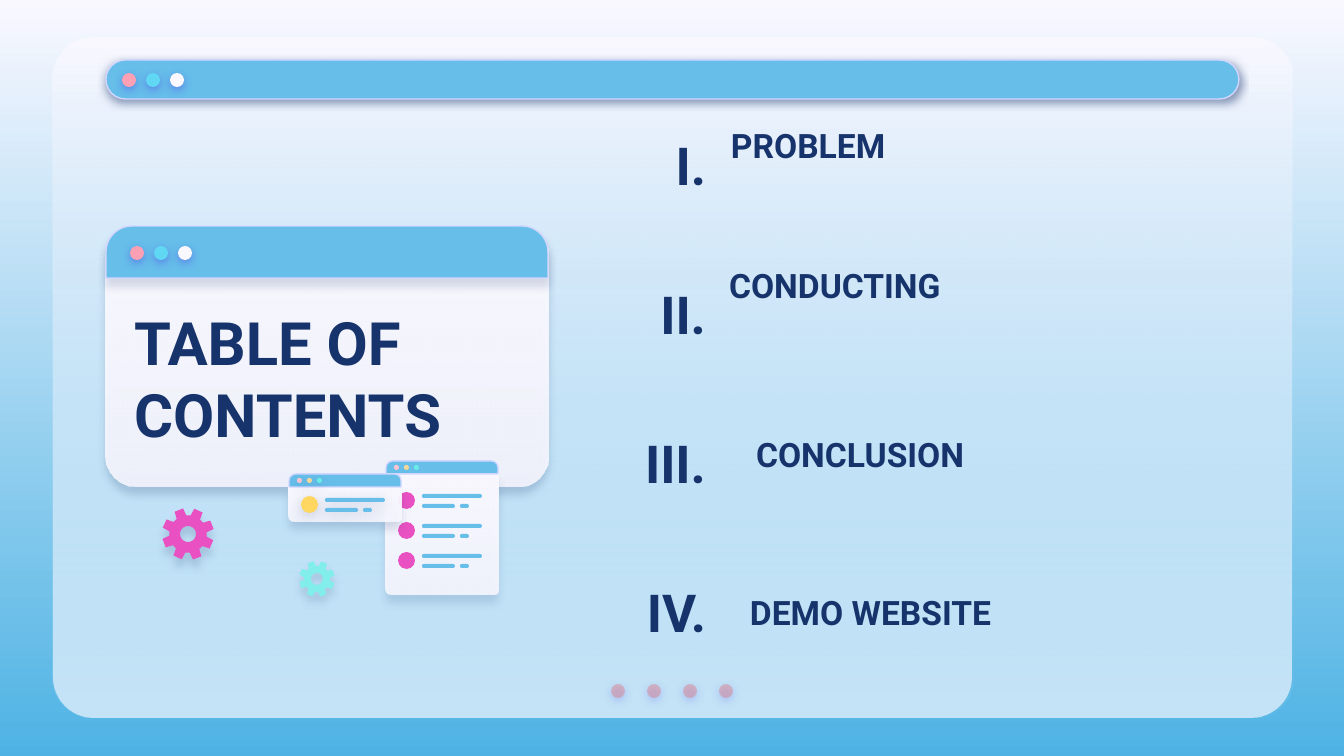
"""Build a table of contents slide with browser windows and gears."""
from math import cos, radians, sin
from lxml.etree import SubElement
from pptx import Presentation
from pptx.dml.color import RGBColor as RGB
from pptx.enum.shapes import MSO_SHAPE as SHAPE
from pptx.enum.text import MSO_ANCHOR as ANCHOR, PP_ALIGN as ALIGN
from pptx.oxml.ns import qn
from pptx.util import Pt

PX = 914400 / 134.4
C = {
    "white": "F9F8FF", "sky": "4EB3E4", "blue": "66BEE9", "edge": "D2D6FF",
    "navy": "17336B", "violet": "5352EE", "rose": "E27B83", "pink": "FDA0B4",
    "cyan": "60D8F4", "blush": "FFC3D0", "sand": "F5D79B", "mint": "6AEBE7",
    "magenta": "E951C2", "yellow": "FFD65F", "aqua": "81EEEB",
}
GLOW = ("violet", 50, 4.5, 1.5)

prs = Presentation()
prs.slide_width, prs.slide_height = round(1344 * PX), round(756 * PX)
s = prs.slides.add_slide(prs.slide_layouts[6])


def draw(kind, box=None, adj=(), contours=(), fill="blue", to=None, alpha=100, line=None, shadow=None):
    if contours:
        pts = [[(round(x * PX), round(y * PX)) for x, y in c] for c in contours]
        fb = s.shapes.build_freeform(*pts[0][0], scale=1.0)
        fb.add_line_segments(pts[0][1:], close=True)
        for c in pts[1:]:
            fb.move_to(*c[0])
            fb.add_line_segments(c[1:], close=True)
        sp = fb.convert_to_shape()
    else:
        sp = s.shapes.add_shape(kind, *[round(v * PX) for v in box])
        for i, v in enumerate(adj):
            sp.adjustments[i] = v
    if to:
        sp.fill.gradient()
        sp.fill.gradient_angle = 270
        for stop, key, pos in zip(sp.fill.gradient_stops, (fill, to), (0, 1)):
            stop.color.rgb, stop.position = RGB.from_string(C[key]), pos
    else:
        sp.fill.solid()
        sp.fill.fore_color.rgb = RGB.from_string(C[fill])
    spPr = sp._element.spPr
    if alpha < 100:
        clr = list(spPr.iter(qn("a:srgbClr")))[-1]
        SubElement(clr, qn("a:alpha"), val=str(alpha * 1000))
    if line:
        sp.line.color.rgb = RGB.from_string(C[line])
        sp.line.width = Pt(0.75)
    else:
        sp.line.fill.background()
    sp.shadow.inherit = False
    if shadow:
        key, opacity, blur, dist = shadow
        shd = SubElement(spPr.find(qn("a:effectLst")), qn("a:outerShdw"), blurRad=str(Pt(blur)),
                         dist=str(Pt(dist)), dir="5400000", algn="bl", rotWithShape="0")
        clr = SubElement(shd, qn("a:srgbClr"), val=C[key])
        SubElement(clr, qn("a:alpha"), val=str(opacity * 1000))


def text(words, x, y, w, h, size=18, align=ALIGN.LEFT):
    tf = s.shapes.add_textbox(*[round(v * PX) for v in (x, y, w, h)]).text_frame
    tf.word_wrap = True
    tf.vertical_anchor = ANCHOR.MIDDLE
    tf.margin_left = tf.margin_right = tf.margin_top = tf.margin_bottom = round(13 * PX)
    p = tf.paragraphs[0]
    p.alignment = align
    r = p.add_run()
    r.text = words
    r.font.name, r.font.size, r.font.bold = "Roboto", Pt(size), True
    r.font.color.rgb = RGB.from_string(C["navy"])


bg = s.background.fill
bg.gradient()
bg.gradient_angle = 270
for stop, key, pos in zip(bg.gradient_stops, ("white", "sky"), (0, 1)):
    stop.color.rgb, stop.position = RGB.from_string(C[key]), pos

panel = (53, 38, 1239, 680)
draw(SHAPE.ROUNDED_RECTANGLE, panel, [0.06], fill="white")
draw(SHAPE.ROUNDED_RECTANGLE, panel, [0.06], fill="white", to="blue", alpha=35)
for i in range(4):
    draw(SHAPE.OVAL, (611 + 36 * i, 684, 14, 14), fill="rose", alpha=44, shadow=GLOW)

draw(SHAPE.ROUNDED_RECTANGLE, (106, 60, 1133, 39), [0.5], line="edge", shadow=("navy", 50, 4.5, 1.5))
draw(SHAPE.ROUNDED_RECTANGLE, (106, 226, 442, 261), [0.12], fill="white", to="white", alpha=87,
     shadow=("navy", 22, 4.5, 3.8))
draw(SHAPE.ROUND_2_SAME_RECTANGLE, (106, 226, 442, 52), [0.5, 0], line="edge",
     shadow=("navy", 15, 4.5, 3.8))
for x, y in ((122, 73), (130, 246)):
    for i, key in enumerate(("pink", "cyan", "white")):
        draw(SHAPE.OVAL, (x + 24 * i, y, 14, 14), fill=key, shadow=GLOW)

text("TABLE OF CONTENTS", 121, 300, 417, 156, size=32)
for i, numeral in enumerate(("I.", "II.", "III.", "IV.")):
    text(numeral, 574, 101 + 149 * i, 145, 127, size=28, align=ALIGN.RIGHT)
for words, x, y in (("PROBLEM", 718, 118), ("CONDUCTING", 716, 258),
                    ("CONCLUSION", 743, 427), ("DEMO WEBSITE", 737, 585)):
    text(words, x, y, 497, 54)

for x, y, body, first, rows, bullet, opacity, dot_glow, row_glow in (
        (386, 461, 121, 31, 3, "magenta", 15, None, None),
        (289, 474, 34, 22, 1, "yellow", 16, ("navy", 17, 4.5, 2.2), ("navy", 18, 6.8, 1.5))):
    draw(SHAPE.ROUND_2_SAME_RECTANGLE, (x, y + 13, 112, body), [0, 6.5 / min(112, body)],
         fill="white", to="white", alpha=87, shadow=("navy", opacity, 4.5, 4.5))
    draw(SHAPE.ROUND_2_SAME_RECTANGLE, (x, y, 112, 13), [0.5, 0], line="edge")
    for i, key in enumerate(("blush", "sand", "mint")):
        draw(SHAPE.OVAL, (x + 8 + 10 * i, y + 4, 5, 5), fill=key, shadow=dot_glow)
    for i in range(rows):
        top = y + first + 30 * i
        draw(SHAPE.OVAL, (x + 12, top, 17, 17), fill=bullet, shadow=row_glow)
        for dx, dy, w in ((36, 2, 60), (36, 12, 33), (74, 12, 9)):
            draw(SHAPE.ROUNDED_RECTANGLE, (x + dx, top + dy, w, 4), [0.5], shadow=row_glow)

for cx, cy, radius, hole, key, shadow in (
        (188, 534, 26, 8, "magenta", ("navy", 16, 4.5, 4.5)),
        (317, 579, 18, 6, "aqua", ("navy", 15, 4.5, 3.8))):
    rim = [(45 * i - 111 + turn, radius * k) for i in range(8)
           for turn, k in ((-16, 0.72), (-10, 1), (10, 1), (16, 0.72))]
    bore = [(-15 * i, hole) for i in range(24)]
    contours = [[(cx + d * cos(radians(a)), cy + d * sin(radians(a))) for a, d in ring]
                for ring in (rim, bore)]
    draw(None, contours=contours, fill=key, shadow=shadow)

prs.save("out.pptx")
